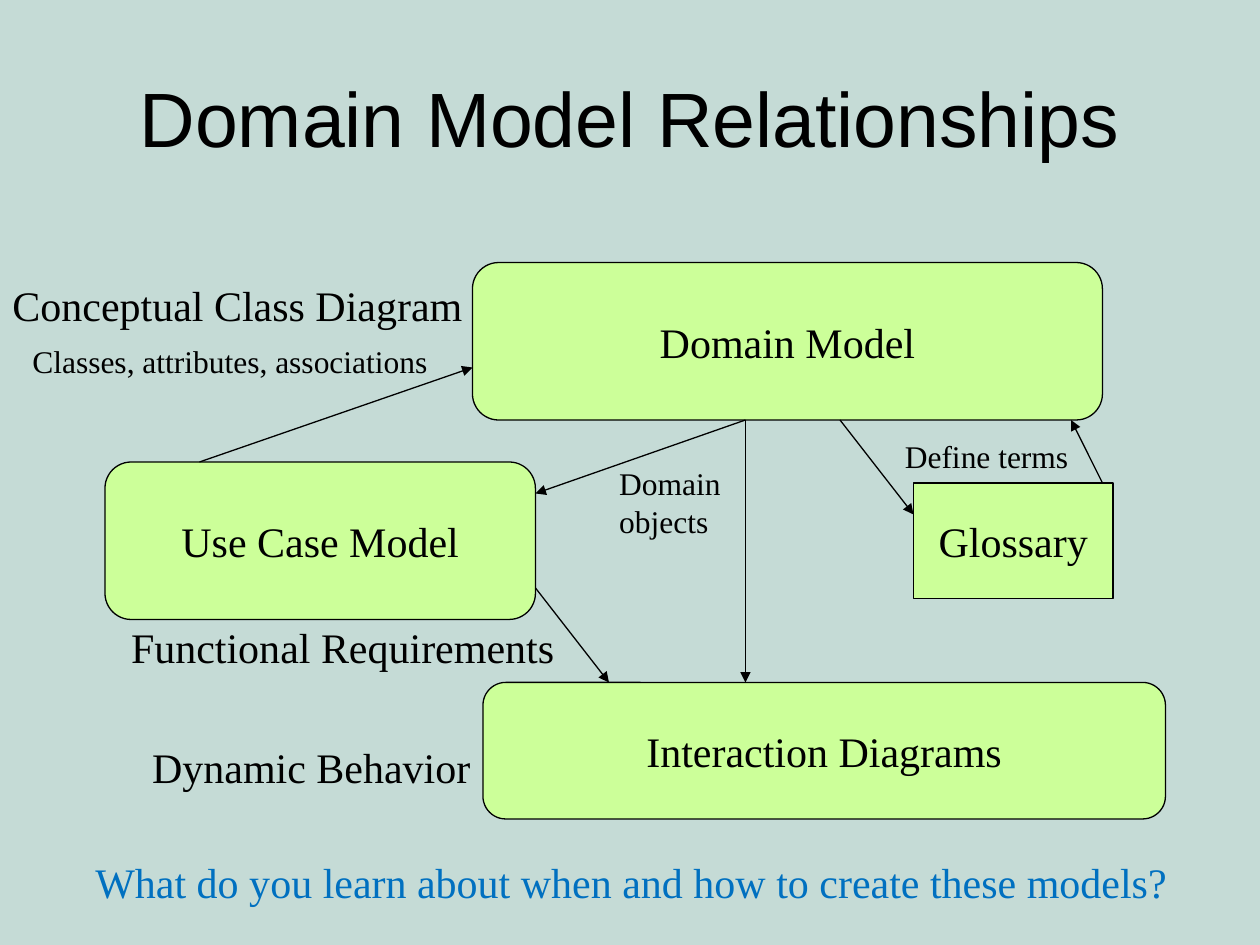
from dataclasses import dataclass

from lxml import etree
from pptx import Presentation, util as u
from pptx.dml.color import RGBColor
from pptx.enum import shapes, text
from pptx.oxml import ns


@dataclass(frozen=True)
class Theme:
    background: str = "C5DBD6"
    node: str = "CCFF99"
    ink: str = "000000"
    question: str = "0070C0"
    heading_font: str = "Arial"
    body_font: str = "Times New Roman"
    heading: int = 44
    body: int = 24
    note: int = 18
    rule: float = 0.75


THEME = Theme()
COLUMNS, ROWS = 120, 90
WIDTH, HEIGHT = u.Inches(10), u.Inches(7.5)

NODES = [
    ("Domain Model", "ROUNDED_RECTANGLE", (45, 25, 60, 15)),
    ("Use Case Model", "ROUNDED_RECTANGLE", (10, 44, 41, 15)),
    ("Interaction Diagrams", "ROUNDED_RECTANGLE", (46, 65, 65, 13)),
    ("Glossary", "RECTANGLE", (87, 46, 19, 11)),
]
ARROWS = [
    ((19, 44), (45, 35)),
    ((71, 40), (51, 47)),
    ((71, 40), (71, 65)),
    ((80, 40), (87, 49)),
    ((51, 56), (58, 65)),
    ((105, 46), (102, 40)),
]
CAPTIONS = [
    ("Dynamic Behavior", (13.3, 70, 33, 6)),
    ("Functional Requirements", (11.3, 58.6, 43, 6)),
    ("Conceptual Class Diagram", (0, 26, 46, 6)),
]
NOTES = [
    ("Classes, attributes, associations", (1.9, 32, 40.5, 4.8)),
    ("Domain\nobjects", (57.8, 43.6, 12.5, 8.4)),
    ("Define terms", (85, 41, 18.3, 4.8)),
]
QUESTION = "What do you learn about when and how to create these models?"


def place(area, columns, rows):
    left, top, width, height = area
    return (round(left + width * columns / COLUMNS),
            round(top + height * rows / ROWS))


def place_box(area, cells):
    column, row, across, down = cells
    left, top = place(area, column, row)
    right, bottom = place(area, column + across, row + down)
    return left, top, right - left, bottom - top


def write(frame, words, size, color=THEME.ink, font=THEME.body_font, align=None):
    frame.text = words
    for paragraph in frame.paragraphs:
        paragraph.alignment = align
        paragraph.font.name = font
        paragraph.font.size = u.Pt(size)
        paragraph.font.color.rgb = RGBColor.from_string(color)


def add_heading(slide, area, words):
    heading = slide.shapes.title
    heading.left, heading.top, heading.width, heading.height = area
    heading.text_frame.vertical_anchor = text.MSO_ANCHOR.MIDDLE
    write(heading.text_frame, words, THEME.heading,
          font=THEME.heading_font, align=text.PP_ALIGN.CENTER)


def add_node(slide, area, words, outline):
    node = slide.shapes.add_shape(shapes.MSO_SHAPE[outline], *area)
    node.shadow.inherit = False
    node.fill.solid()
    node.fill.fore_color.rgb = RGBColor.from_string(THEME.node)
    node.line.color.rgb = RGBColor.from_string(THEME.ink)
    node.line.width = u.Pt(THEME.rule)
    node.text_frame.word_wrap = False
    node.text_frame.vertical_anchor = text.MSO_ANCHOR.MIDDLE
    write(node.text_frame, words, THEME.body, align=text.PP_ALIGN.CENTER)


def add_label(slide, area, words, size, color=THEME.ink):
    frame = slide.shapes.add_textbox(*area).text_frame
    frame.word_wrap = False
    frame.auto_size = text.MSO_AUTO_SIZE.SHAPE_TO_FIT_TEXT
    write(frame, words, size, color)


def add_arrow(slide, start, end):
    arrow = slide.shapes.add_connector(shapes.MSO_CONNECTOR.STRAIGHT, *start, *end)
    arrow.line.color.rgb = RGBColor.from_string(THEME.ink)
    arrow.line.width = u.Pt(THEME.rule)
    etree.SubElement(arrow.line._get_or_add_ln(), ns.qn("a:tailEnd"), type="triangle")
    etree.SubElement(arrow._element.spPr, ns.qn("a:effectLst"))


def add_diagram(slide, area):
    for words, outline, cells in NODES:
        add_node(slide, place_box(area, cells), words, outline)
    for start, end in ARROWS:
        add_arrow(slide, place(area, *start), place(area, *end))
    for labels, size in ((CAPTIONS, THEME.body), (NOTES, THEME.note)):
        for words, cells in labels:
            add_label(slide, place_box(area, cells), words, size)


def main():
    deck = Presentation()
    deck.slide_width, deck.slide_height = WIDTH, HEIGHT
    slide = deck.slides.add_slide(deck.slide_layouts.get_by_name("Title Only"))
    slide.background.fill.solid()
    slide.background.fill.fore_color.rgb = RGBColor.from_string(THEME.background)
    page = (0, 0, WIDTH, HEIGHT)
    add_heading(slide, place_box(page, (6, 3.6, 108, 15)), "Domain Model Relationships")
    add_diagram(slide, page)
    add_label(slide, place_box(page, (7.9, 81, 105.5, 6)), QUESTION,
              THEME.body, THEME.question)
    deck.save("out.pptx")


if __name__ == "__main__":
    main()
